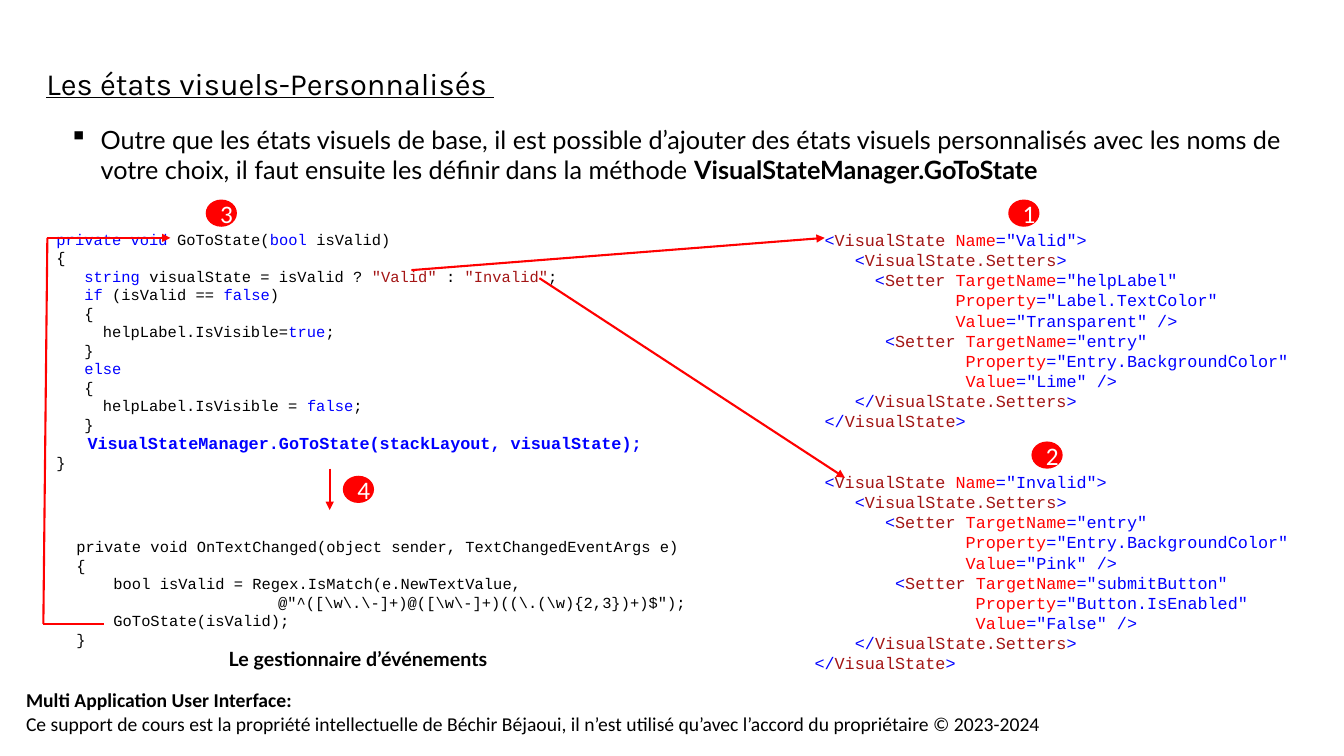
from lxml import etree
from pptx import Presentation, util as u
from pptx.dml.color import RGBColor
from pptx.enum import shapes, text
from pptx.oxml.ns import qn

INK = {"k": "000000", "b": "0000FF", "r": "FF0000", "s": "A31515"}
RED, BLACK, WHITE = "FF0000", "000000", "FFFFFF"
MONO = "Courier New"

# Each piece of a code line starts with its ink letter; "B" marks bold black.
METHOD = [
    "b private void |kGoToState(|bbool |kisValid)",
    "k {",
    'b    string |kvisualState = isValid ? |s"Valid"|k : |s"Invalid"|k;',
    "b    if |k(isValid == |bfalse|k)",
    "k    {",
    "k      helpLabel.IsVisible=|btrue|k;",
    "k    }",
    "b    else",
    "k    {",
    "k      helpLabel.IsVisible = |bfalse|k;",
    "k    }",
    "B    VisualStateManager.GoToState(stackLayout, visualState);",
    "k }",
]
HANDLER = [
    "kprivate void OnTextChanged(object sender, TextChangedEventArgs e)",
    "k{",
    "k    bool isValid = Regex.IsMatch(e.NewTextValue,",
    "k\t" + r'@"^([\w\.\-]+)@([\w\-]+)((\.(\w){2,3})+)$");',
    "k    GoToState(isValid);",
    "k}",
]


def paint(value):
    return RGBColor.from_string(value)


def add_run(para, words, size, font, color=BLACK, bold=False):
    run = para.add_run()
    run.text = words
    run.font.size, run.font.name, run.font.bold = u.Pt(size), font, bold
    run.font.color.rgb = paint(color)
    return run


def add_box(slide, left, top, width, height):
    box = slide.shapes.add_textbox(*map(u.Inches, (left, top, width, height)))
    box.text_frame.word_wrap = True
    return box.text_frame


def add_code(slide, box, lines, size):
    """Write marked code lines and return their paragraphs."""
    frame = add_box(slide, *box)
    for i, line in enumerate(lines):
        para = frame.add_paragraph() if i else frame.paragraphs[0]
        if "\t" in line:
            tabs = etree.SubElement(para._p.get_or_add_pPr(), qn("a:tabLst"))
            etree.SubElement(tabs, qn("a:tab"), pos=str(u.Inches(2)), algn="l")
        for piece in line.split("|"):
            key, words = piece[0], piece[1:]
            bold = key == "B"
            add_run(para, words, 12 if bold else size, MONO, INK[key.lower()], bold)
    return frame.paragraphs


def list_state(name, setters, end):
    """Marked lines of one visual state; each setter is (indent, target, property, value)."""
    lines = [f'b <|sVisualState|r Name|b="{name}">', "b    <|sVisualState.Setters|b>"]
    for pad, target, prop, value in setters:
        gap = " " * (pad + 8)
        lines += [
            f'b{" " * pad}<|sSetter |rTargetName|b="{target}"',
            f'r{gap}Property|b="{prop}"',
            f'r{gap}Value|b="{value}" />',
        ]
    return lines + ["b    </|sVisualState.Setters|b>", f"b{end}</|sVisualState|b>"]


def add_states(slide, box):
    valid = list_state("Valid", [
        (6, "helpLabel", "Label.TextColor", "Transparent"),
        (7, "entry", "Entry.BackgroundColor", "Lime"),
    ], " ")
    invalid = list_state("Invalid", [
        (7, "entry", "Entry.BackgroundColor", "Pink"),
        (8, "submitButton", "Button.IsEnabled", "False"),
    ], "")
    paras = add_code(slide, box, valid + invalid, 12)
    paras[len(valid)].space_before = u.Pt(28.8)


def add_badge(slide, left, top, digit):
    dot = slide.shapes.add_shape(
        shapes.MSO_SHAPE.OVAL, *map(u.Inches, (left, top, 0.31, 0.27)))
    dot.shadow.inherit = False
    dot.fill.solid()
    dot.fill.fore_color.rgb = paint(RED)
    dot.line.fill.background()
    frame = dot.text_frame
    frame.vertical_anchor = text.MSO_ANCHOR.MIDDLE
    para = frame.paragraphs[0]
    para.alignment = text.PP_ALIGN.CENTER
    add_run(para, digit, 18, "Calibri", WHITE)


def add_line(slide, start, end, arrow=True):
    line = slide.shapes.add_connector(
        shapes.MSO_CONNECTOR.STRAIGHT, *map(u.Inches, start + end))
    line.line.color.rgb = paint(RED)
    line.line.width = u.Pt(1.5)
    if arrow:
        etree.SubElement(line.line._get_or_add_ln(), qn("a:tailEnd"), type="triangle")
    etree.SubElement(line._element.spPr, qn("a:effectLst"))


def add_title(slide, box):
    frame = add_box(slide, *box)
    frame.margin_left = u.Inches(0.17)
    frame.margin_top = frame.margin_right = frame.margin_bottom = 0
    run = add_run(frame.paragraphs[0], "Les états visuels-Personnalisés ", 22, "Karla")
    run.font.underline = True


def add_intro(slide, box):
    para = add_box(slide, *box).paragraphs[0]
    props = para._p.get_or_add_pPr()
    props.set("marL", str(u.Inches(0.31)))
    props.set("indent", str(u.Inches(-0.31)))
    etree.SubElement(props, qn("a:buChar"), char="▪")
    add_run(para, "Outre que les états visuels de base, il est possible d’ajouter "
            "des états visuels personnalisés avec les noms de", 18, "Lato")
    para.add_line_break()
    add_run(para, "votre choix, il faut ensuite les définir dans la méthode ", 18, "Lato")
    add_run(para, "VisualStateManager.GoToState", 18, "Lato", bold=True)


def add_footer(slide, box):
    frame = add_box(slide, *box)
    add_run(frame.paragraphs[0], "Multi Application User Interface:", 14, "Calibri", bold=True)
    add_run(frame.add_paragraph(), "Ce support de cours est la propriété intellectuelle de "
            "Béchir Béjaoui, il n’est utilisé qu’avec l’accord du propriétaire © 2023-2024",
            14, "Calibri")


def add_handler(slide, left, top):
    add_code(slide, (left, top, 6.67, 1.21), HANDLER, 11)
    label = add_box(slide, left + 1.51, top + 1.09, 2.96, 0.34)
    add_run(label.paragraphs[0], "Le gestionnaire d’événements", 14, "Lato", bold=True)


def add_flow(slide):
    """Number the steps and link the code blocks."""
    badges = [(10, 1.98), (10.23, 4.38), (2.04, 1.98), (3.4, 4.72)]
    for digit, (left, top) in enumerate(badges, 1):
        add_badge(slide, left, top, str(digit))
    add_line(slide, (3.27, 4.65), (3.27, 5.06))
    add_line(slide, (4.08, 2.68), (8.18, 2.36))
    add_line(slide, (5.35, 2.76), (8.38, 4.74))
    loop = [(1.03, 6.19), (0.43, 6.19), (0.47, 2.36), (1.69, 2.36)]
    for start, end in zip(loop, loop[1:]):
        add_line(slide, start, end, arrow=end == loop[-1])


def main():
    deck = Presentation()
    deck.slide_width, deck.slide_height = u.Inches(13.33), u.Inches(7.5)
    slide = deck.slides.add_slide(deck.slide_layouts[6])
    add_footer(slide, (0.16, 6.78, 13.17, 0.57))
    add_title(slide, (0.29, 0.64, 12.19, 0.37))
    add_intro(slide, (0.59, 1.18, 12.48, 0.71))
    add_code(slide, (0.37, 2.23, 8.98, 2.57), METHOD, 11)
    add_states(slide, (7.98, 2.23, 5.21, 4.54))
    add_handler(slide, 0.66, 5.28)
    add_flow(slide)
    deck.save("out.pptx")


if __name__ == "__main__":
    main()
